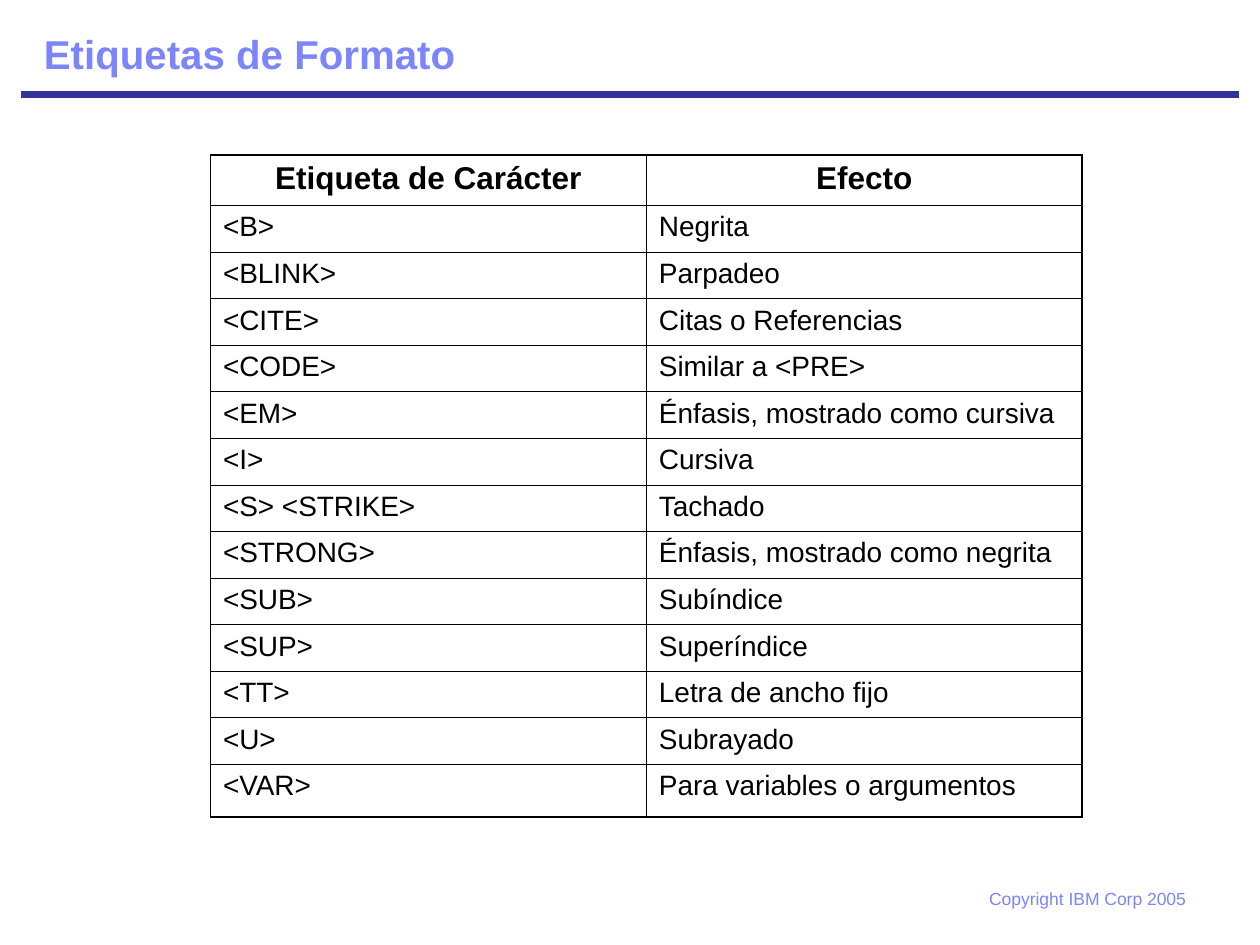
from lxml import etree
from pptx import Presentation
from pptx import util as u
from pptx.dml.color import RGBColor
from pptx.enum import shapes, text
from pptx.oxml import ns

FONT = "Arial"
LAVENDER = RGBColor(0x7C, 0x85, 0xFC)
NAVY = RGBColor(0x33, 0x33, 0x99)
BLACK = RGBColor(0, 0, 0)
OUTER_BORDER = u.Pt(1.08)
INNER_BORDER = u.Pt(0.45)

HEADER = ("Etiqueta de Carácter", "Efecto")
TAGS = [
    ("<B>", "Negrita"),
    ("<BLINK>", "Parpadeo"),
    ("<CITE>", "Citas o Referencias"),
    ("<CODE>", "Similar a <PRE>"),
    ("<EM>", "Énfasis, mostrado como cursiva"),
    ("<I>", "Cursiva"),
    ("<S> <STRIKE>", "Tachado"),
    ("<STRONG>", "Énfasis, mostrado como negrita"),
    ("<SUB>", "Subíndice"),
    ("<SUP>", "Superíndice"),
    ("<TT>", "Letra de ancho fijo"),
    ("<U>", "Subrayado"),
    ("<VAR>", "Para variables o argumentos"),
]


def write_text(text_frame, words, size, color, bold=False, align=text.PP_ALIGN.LEFT):
    text_frame.text = words
    paragraph = text_frame.paragraphs[0]
    paragraph.alignment = align
    font = paragraph.runs[0].font
    font.name = FONT
    font.size = u.Pt(size)
    font.bold = bold
    font.color.rgb = color


def add_label(slide, left, top, width, height, wrap, anchor, words, size, **style):
    shape = slide.shapes.add_textbox(
        u.Inches(left), u.Inches(top), u.Inches(width), u.Inches(height))
    shape.text_frame.word_wrap = wrap
    shape.text_frame.vertical_anchor = anchor
    write_text(shape.text_frame, words, size, LAVENDER, **style)


def add_rule(slide, left, right, top):
    connector = slide.shapes.add_connector(
        shapes.MSO_CONNECTOR.STRAIGHT,
        u.Inches(left), u.Inches(top), u.Inches(right), u.Inches(top))
    connector.line.color.rgb = NAVY
    connector.line.width = u.Pt(4.5)
    etree.SubElement(connector._element.spPr, ns.qn("a:effectLst"))


def set_borders(cell, outer_sides):
    properties = cell._tc.get_or_add_tcPr()
    for side in "LRTB":
        width = OUTER_BORDER if side in outer_sides else INNER_BORDER
        border = etree.SubElement(properties, ns.qn(f"a:ln{side}"), w=str(width))
        fill = etree.SubElement(border, ns.qn("a:solidFill"))
        etree.SubElement(fill, ns.qn("a:srgbClr"), val=str(BLACK))


def add_tag_table(slide):
    rows = [HEADER] + TAGS
    heights = [0.4] + [0.37] * (len(TAGS) - 1) + [0.42]
    table = slide.shapes.add_table(
        len(rows), len(HEADER), u.Inches(1.67), u.Inches(1.23),
        u.Inches(6.92), u.Inches(sum(heights))).table
    table.first_row = False
    table.horz_banding = False
    for row_index, (row, height) in enumerate(zip(rows, heights)):
        table.rows[row_index].height = u.Inches(height)
        is_header = row_index == 0
        row_sides = "T" if is_header else "B" if row_index == len(TAGS) else ""
        for column_index, words in enumerate(row):
            cell = table.cell(row_index, column_index)
            set_borders(cell, row_sides + "LR"[column_index])
            cell.fill.background()
            align = text.PP_ALIGN.CENTER if is_header else text.PP_ALIGN.LEFT
            write_text(cell.text_frame, words, 18 if is_header else 16,
                       BLACK, is_header, align)


def main():
    presentation = Presentation()
    presentation.slide_width = u.Inches(10)
    presentation.slide_height = u.Inches(7.5)
    slide = presentation.slides.add_slide(presentation.slide_layouts[6])
    add_rule(slide, 0.17, 9.83, 0.75)
    add_label(slide, 7.75, 7, 1.76, 0.27, False, text.MSO_ANCHOR.TOP,
              "Copyright IBM Corp 2005", 10, align=text.PP_ALIGN.RIGHT)
    add_label(slide, 0.25, 0.17, 6.92, 0.5, True, text.MSO_ANCHOR.MIDDLE,
              "Etiquetas de Formato", 23, bold=True)
    add_tag_table(slide)
    presentation.save("out.pptx")


if __name__ == "__main__":
    main()
